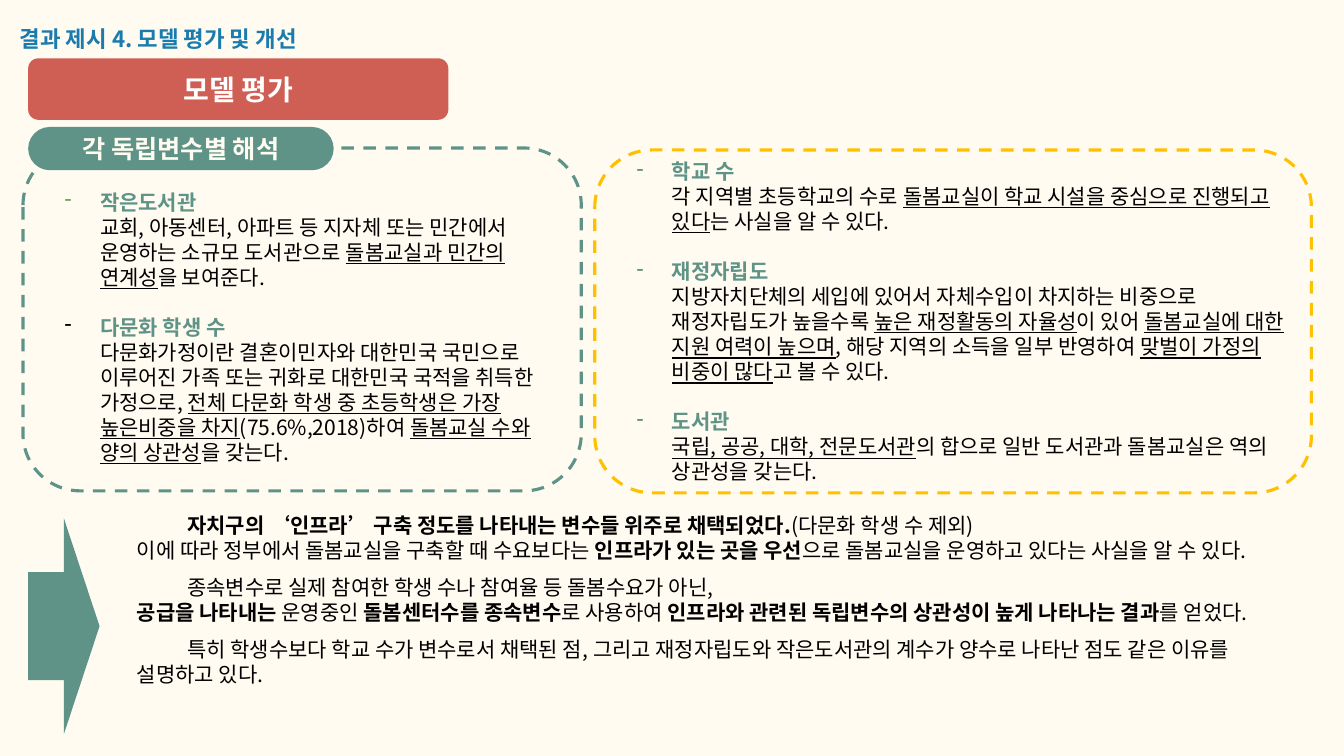
import pptx
import pptx.util
import pptx.dml.color
import pptx.enum.dml
import pptx.enum.shapes
import pptx.enum.text
import pptx.oxml.ns
import lxml.etree

Cm = pptx.util.Cm
Pt = pptx.util.Pt
SHAPES = pptx.enum.shapes.MSO_SHAPE
ANCHOR = pptx.enum.text.MSO_ANCHOR
ALIGN = pptx.enum.text.PP_ALIGN

COLORS = {"paper": "FFFBF0", "blue": "1A7BAE", "red": "CF5F54", "green": "5F9387",
          "yellow": "FFC000", "lime": "70AD47", "black": "000000", "white": "FFFFFF"}
KOREAN = "Noto Sans CJK KR"
BODY_SIZE, BODY_LINE = 15, 17.9

HEADING = [("결과 ", "Roboto Condensed"), ("제시 4. 모델 평가 및 개선", KOREAN)]
BANNER = "모델 평가"
PILL = "각 독립변수별 해석"

LEFT_TOPICS = [
    ("작은도서관", "lime", [
        [("교회, 아동센터, 아파트 등 지자체 또는 민간에서 운영하는 소규모 도서관으로 ", ""),
         ("돌봄교실과 민간의 연계성", "u"), ("을 보여준다.", "")]]),
    ("다문화 학생 수", "black", [
        [("다문화가정이란 결혼이민자와 대한민국 국민으로 이루어진 가족 또는 귀화로 대한민국 국적을 취득한 가정으로, ", ""),
         ("전체 다문화 학생 중 초등학생은 가장 높은비중을 차지", "u"),
         ("(75.6%,2018)하여 ", ""), ("돌봄교실 수와 양의 상관성", "u"), ("을 갖는다.", "")]]),
]
RIGHT_TOPICS = [
    ("학교 수", "green", [
        [("각 지역별 초등학교의 수로 ", ""),
         ("돌봄교실이 학교 시설을 중심으로 진행되고 있다", "u"), ("는 사실을 알 수 있다.", "")]]),
    ("재정자립도", "green", [
        [("지방자치단체의 세입에 있어서 자체수입이 차지하는 비중으로", "")],
        [("재정자립도가 높을수록 ", ""), ("높은 재정활동의 자율성", "u"), ("이 있어 ", ""),
         ("돌봄교실에 대한 지원 여력이 높으며", "u"), (", 해당 지역의 소득을 일부 반영하여 ", ""),
         ("맞벌이 가정의 비중이 많다", "u"), ("고 볼 수 있다.", "")]]),
    ("도서관", "green", [
        [("국립, 공공, 대학, 전문도서관", "u"),
         ("의 합으로 일반 도서관과 돌봄교실은 역의 상관성을 갖는다.", "")]]),
]
CONCLUSIONS = [
    [[("자치구의 ‘인프라’ 구축 정도를 나타내는 변수들 위주로 채택되었다.", "b"), ("(다문화 학생 수 제외)", "")],
     [("이에 따라 정부에서 돌봄교실을 구축할 때 수요보다는 ", ""), ("인프라가 있는 곳을 우선", "b"),
      ("으로 돌봄교실을 운영하고 있다는 사실을 알 수 있다.", "")]],
    [[("종속변수로 실제 참여한 학생 수나 참여율 등 돌봄수요가 아닌,", "")],
     [("공급을 나타내는", "b"), (" 운영중인 ", ""), ("돌봄센터수를 종속변수", "b"), ("로 사용하여", ""),
      (" 인프라와 관련된 독립변수의 상관성이 높게 나타나는 결과", "b"), ("를 얻었다.", "")]],
    [[("특히 학생수보다 학교 수가 변수로서 채택된 점, 그리고 재정자립도와 작은도서관의 계수가 양수로 "
       "나타난 점도 같은 이유를 설명하고 있다.", "")]],
]


def rgb(name):
    return pptx.dml.color.RGBColor.from_string(COLORS[name])


def add_run(paragraph, text, size, color, style="", font=KOREAN):
    run = paragraph.add_run()
    run.text = text
    run.font.size = Pt(size)
    run.font.name = font
    run.font.bold = "b" in style
    run.font.underline = "u" in style
    run.font.color.rgb = rgb(color)
    east_asian = lxml.etree.SubElement(run._r.get_or_add_rPr(), pptx.oxml.ns.qn("a:ea"))
    east_asian.set("typeface", KOREAN)


def prepare(frame, anchor, top=0.25, bottom=0.25):
    frame.word_wrap = True
    frame.vertical_anchor = anchor
    frame.margin_left = frame.margin_right = Cm(0.25)
    frame.margin_top, frame.margin_bottom = Cm(top), Cm(bottom)
    return frame


def next_paragraph(frame, before=0, left=0, indent=0):
    first = frame.paragraphs[0]
    paragraph = frame.add_paragraph() if first.runs else first
    paragraph.alignment = ALIGN.LEFT
    paragraph.line_spacing = Pt(BODY_LINE)
    paragraph.space_before = Pt(before if first.runs else 0)
    properties = paragraph._p.get_or_add_pPr()
    properties.set("marL", str(Cm(left)))
    properties.set("indent", str(Cm(indent)))
    return paragraph


def add_bullet(paragraph, color):
    properties = paragraph._p.get_or_add_pPr()
    tint = lxml.etree.SubElement(properties, pptx.oxml.ns.qn("a:buClr"))
    lxml.etree.SubElement(tint, pptx.oxml.ns.qn("a:srgbClr")).set("val", COLORS[color])
    lxml.etree.SubElement(properties, pptx.oxml.ns.qn("a:buChar")).set("char", "-")


def add_block(slide, kind, box, fill=None, outline=None, rounding=None):
    block = slide.shapes.add_shape(kind, *map(Cm, box))
    block.shadow.inherit = False
    if rounding is not None:
        block.adjustments[0] = rounding
    if fill:
        block.fill.solid()
        block.fill.fore_color.rgb = rgb(fill)
    else:
        block.fill.background()
    if outline:
        block.line.color.rgb = rgb(outline)
        block.line.width = Pt(2.25)
        block.line.dash_style = pptx.enum.dml.MSO_LINE.DASH
    else:
        block.line.fill.background()
    return block


def add_label(slide, box, text, size, fill, color, rounding, padding):
    label = add_block(slide, SHAPES.ROUNDED_RECTANGLE, box, fill, rounding=rounding)
    frame = prepare(label.text_frame, ANCHOR.MIDDLE, padding, padding)
    frame.paragraphs[0].alignment = ALIGN.CENTER
    add_run(frame.paragraphs[0], text, size, color, "b", "Arial")


def add_topics(slide, box, outline, topics, top):
    panel = add_block(slide, SHAPES.ROUNDED_RECTANGLE, box, outline=outline, rounding=0.167)
    frame = prepare(panel.text_frame, ANCHOR.MIDDLE, top)
    for name, bullet, details in topics:
        paragraph = next_paragraph(frame, BODY_LINE, 1.27, -0.89)
        add_bullet(paragraph, bullet)
        add_run(paragraph, name, BODY_SIZE, "green", "b")
        for detail in details:
            paragraph = next_paragraph(frame, left=1.27)
            for text, style in detail:
                add_run(paragraph, text, BODY_SIZE, "black", style)


def main():
    deck = pptx.Presentation()
    deck.slide_width, deck.slide_height = Cm(33.87), Cm(19.05)
    slide = deck.slides.add_slide(deck.slide_layouts[6])
    slide.background.fill.solid()
    slide.background.fill.fore_color.rgb = rgb("paper")

    heading = slide.shapes.add_textbox(*map(Cm, (0.25, 0.33, 8.36, 1.14)))
    frame = prepare(heading.text_frame, ANCHOR.TOP)
    frame.paragraphs[0].line_spacing = Pt(20.5)
    for text, font in HEADING:
        add_run(frame.paragraphs[0], text, 16, "blue", "b", font)

    add_label(slide, (0.71, 1.47, 10.59, 1.55), BANNER, 20, "red", "white", 0.167, 0.25)
    add_block(slide, SHAPES.RIGHT_ARROW, (0.71, 13.06, 1.8, 5.44), "green")
    add_topics(slide, (14.99, 3.78, 18.06, 8.64), "yellow", RIGHT_TOPICS, 0.25)
    add_topics(slide, (0.58, 3.73, 14.07, 8.64), "green", LEFT_TOPICS, 0.63)
    add_label(slide, (0.71, 3.2, 7.7, 1.09), PILL, 18, "green", "paper", 0.5, 0.13)

    summary = slide.shapes.add_textbox(*map(Cm, (3.2, 12.67, 29.62, 6.45)))
    frame = prepare(summary.text_frame, ANCHOR.TOP)
    for conclusion in CONCLUSIONS:
        for position, sentence in enumerate(conclusion):
            opening = position == 0
            paragraph = next_paragraph(frame, 8.5 if opening else 0, indent=1.27 if opening else 0)
            for text, style in sentence:
                add_run(paragraph, text, BODY_SIZE, "black", style)

    deck.save("out.pptx")


if __name__ == "__main__":
    main()
